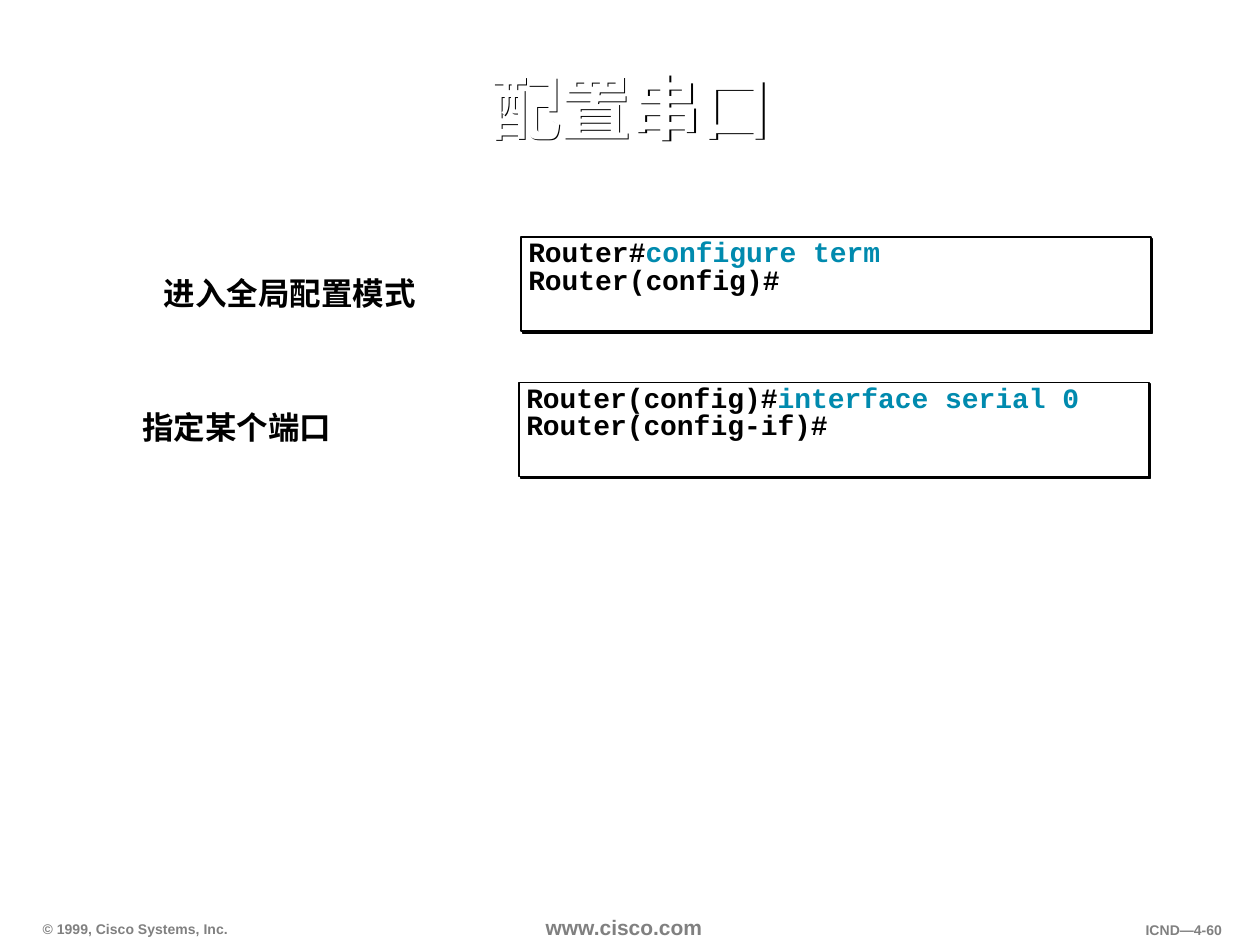
"""Build a slide on setting up a serial port."""
import pptx
import pptx.dml.color
import pptx.enum.shapes
import pptx.enum.text
import pptx.oxml
import pptx.oxml.ns
import pptx.util

Cm = pptx.util.Cm
Pt = pptx.util.Pt
RGB = pptx.dml.color.RGBColor
ALIGN = pptx.enum.text.PP_ALIGN
MID = pptx.enum.text.MSO_ANCHOR.MIDDLE
TOP = pptx.enum.text.MSO_ANCHOR.TOP
LOW = pptx.enum.text.MSO_ANCHOR.BOTTOM
BLACK = RGB(0x00, 0x00, 0x00)
WHITE = RGB(0xFF, 0xFF, 0xFF)
GRAY = RGB(0x80, 0x80, 0x80)
TEAL = RGB(0x00, 0x8A, 0xAE)


def place(shape, box):
    """Move a shape to a box given in centimetres."""
    shape.left, shape.top, shape.width, shape.height = map(Cm, box)


def shade(shape):
    """Give a shape a hard black shadow, which its text casts if unfilled."""
    shape.shadow.inherit = False
    effects = shape._element.spPr.find(pptx.oxml.ns.qn("a:effectLst"))
    effects.append(pptx.oxml.parse_xml(
        f'<a:outerShdw {pptx.oxml.ns.nsdecls("a")} dist="17780" dir="2700000" '
        'algn="ctr" rotWithShape="0"><a:srgbClr val="000000"/></a:outerShdw>'))


def setup(frame, anchor, side=0.23, edge=0.1):
    """Set the margins, wrap and anchor of a text frame."""
    frame.word_wrap = True
    frame.auto_size = pptx.enum.text.MSO_AUTO_SIZE.NONE
    frame.vertical_anchor = anchor
    frame.margin_left = frame.margin_right = Cm(side)
    frame.margin_top = frame.margin_bottom = Cm(edge)


def write(para, text, size, color, font="Arial"):
    """Add one bold run to a paragraph."""
    run = para.add_run()
    run.text = text
    run.font.size = Pt(size)
    run.font.bold = True
    run.font.name = font
    run.font.color.rgb = color


def title(shape, box, text):
    """Fill the title with white, shadowed text."""
    place(shape, box)
    shape.fill.background()
    shape.line.fill.background()
    shade(shape)
    setup(shape.text_frame, MID)
    para = shape.text_frame.paragraphs[0]
    para.alignment = ALIGN.CENTER
    para.line_spacing = 0.9
    write(para, text, 40, WHITE)


def label(shape, box, text, align):
    """Write a step name, without a bullet, in its box."""
    place(shape, box)
    setup(shape.text_frame, MID)
    para = shape.text_frame.paragraphs[0]
    props = para._p.get_or_add_pPr()
    props.set("marL", "0")
    props.set("indent", "0")
    props.append(pptx.oxml.parse_xml(
        f'<a:buNone {pptx.oxml.ns.nsdecls("a")}/>'))
    para.alignment = align
    para.line_spacing = 0.95
    para.space_before = Pt(0)
    write(para, text, 18, BLACK)


def console(shapes, box, lines):
    """Draw a framed console with prompts and commands."""
    frame = shapes.add_shape(
        pptx.enum.shapes.MSO_SHAPE.RECTANGLE, *map(Cm, box))
    frame.fill.solid()
    frame.fill.fore_color.rgb = WHITE
    frame.line.color.rgb = BLACK
    frame.line.width = Pt(1)
    shade(frame)
    left, top, width, height = box
    area = shapes.add_textbox(
        *map(Cm, (left + 0.1, top, width - 0.86, height + 0.15)))
    text = area.text_frame
    setup(text, TOP, 0.05, 0.08)
    for row, (prompt, order) in enumerate(lines):
        para = text.add_paragraph() if row else text.paragraphs[0]
        para.line_spacing = Pt(15.7)
        write(para, prompt, 16, BLACK, "Courier New")
        if order:
            write(para, order, 16, TEAL, "Courier New")


def footer(shapes, box, text, size, align, anchor):
    """Write one gray note at the foot of the slide."""
    area = shapes.add_textbox(*map(Cm, box))
    setup(area.text_frame, anchor, 0.2)
    area.text_frame.word_wrap = False
    para = area.text_frame.paragraphs[0]
    para.alignment = align
    write(para, text, size, GRAY)


def main():
    """Build and save the slide."""
    deck = pptx.Presentation()
    deck.slide_width, deck.slide_height = Cm(25.4), Cm(19.05)
    slide = deck.slides.add_slide(deck.slide_layouts[1])
    shapes = slide.shapes
    title(shapes.title, (2.13, 0.66, 21.18, 3.18), "配置串口")
    label(slide.placeholders[1], (0.97, 4.52, 9.75, 2.84),
          "进入全局配置模式", ALIGN.CENTER)
    console(shapes, (10.5, 4.78, 12.7, 1.9),
            [("Router#", "configure term"), ("Router(config)#", "")])
    label(shapes.add_textbox(0, 0, 0, 0), (2.64, 7.04, 6.2, 3.2),
          "指定某个端口", ALIGN.LEFT)
    console(shapes, (10.46, 7.71, 12.7, 1.9),
            [("Router(config)#", "interface serial 0"),
             ("Router(config-if)#", "")])
    footer(shapes, (0.66, 18.43, 4.27, 0.56),
           "© 1999, Cisco Systems, Inc.", 8, ALIGN.LEFT, LOW)
    footer(shapes, (10.8, 18.34, 3.81, 0.71),
           "www.cisco.com", 12, ALIGN.LEFT, TOP)
    footer(shapes, (21.79, 18.47, 3.05, 0.56),
           "ICND—4-60", 8, ALIGN.RIGHT, TOP)
    deck.save("out.pptx")


if __name__ == "__main__":
    main()
